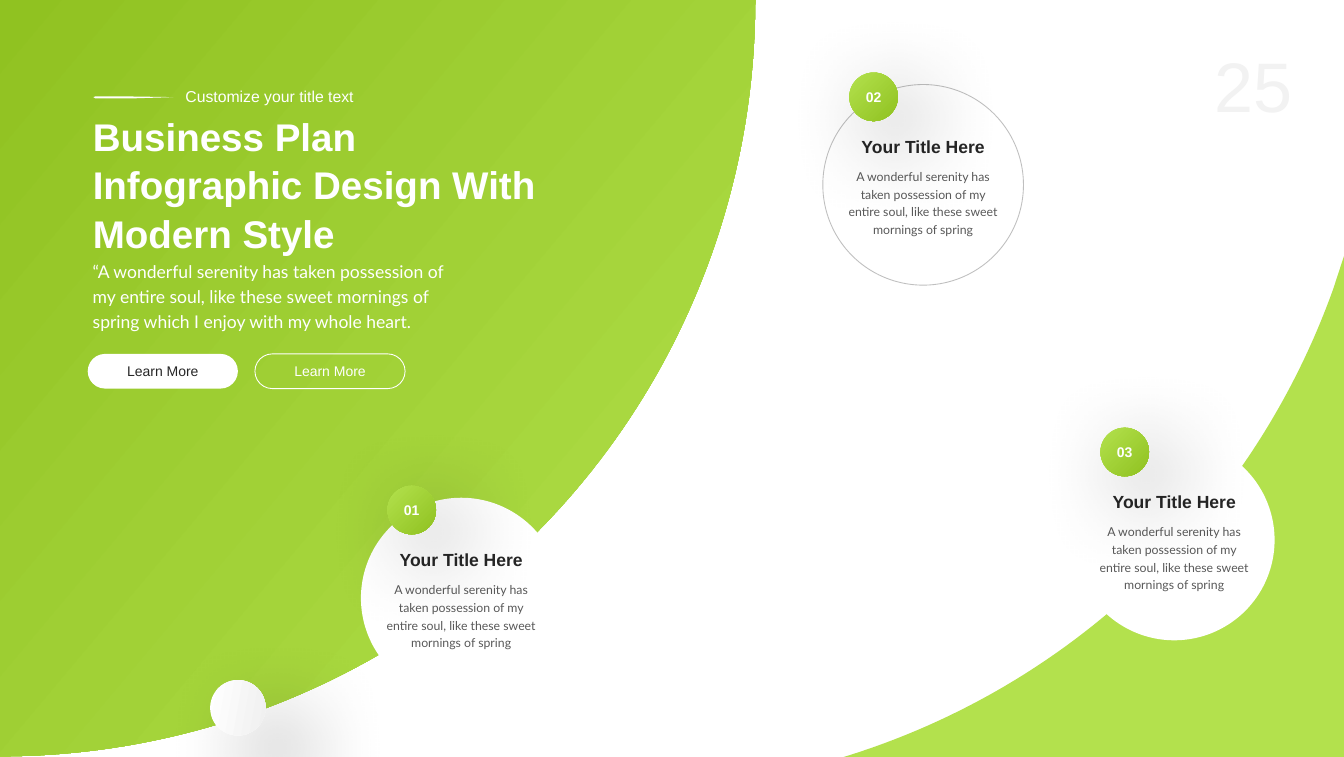
from lxml import etree
from pptx import Presentation
from pptx.dml.color import RGBColor
from pptx.enum import shapes, text
from pptx.oxml.ns import qn
from pptx.util import Inches, Pt

COLORS = {
    "white": "FFFFFF", "light": "B3E14D", "green": "90C221", "ink": "262626",
    "gray": "595959", "outline": "BFBFBF", "pale": "F0F0F0", "number": "F2F2F2",
    "shadow": "000000",
}
LEFT, CENTER = text.PP_ALIGN.LEFT, text.PP_ALIGN.CENTER
OVAL, PILL = shapes.MSO_SHAPE.OVAL, shapes.MSO_SHAPE.ROUNDED_RECTANGLE
SUMMARY = ("A wonderful serenity has taken possession of my entire soul, "
           "like these sweet mornings of spring")


def rgb(name):
    return RGBColor.from_string(COLORS[name])


def curve(p0, p1, p2, p3, steps=48):
    """Points along a cubic Bezier curve, without its start."""
    points = []
    for i in range(1, steps + 1):
        t = i / steps
        weights = ((1 - t) ** 3, 3 * t * (1 - t) ** 2, 3 * t * t * (1 - t), t ** 3)
        points.append(tuple(sum(w * p[axis] for w, p in zip(weights, (p0, p1, p2, p3)))
                            for axis in (0, 1)))
    return points


class SlideBuilder:
    def __init__(self, slide, font="Arial"):
        self.s = slide
        self.font = font

    def paint(self, sp, fill=None, line=None, angle=0):
        """Fill with a colour name or a (start, end) gradient, clockwise angle."""
        sp.shadow.inherit = False
        if isinstance(fill, tuple):
            sp.fill.gradient()
            sp.fill.gradient_angle = (360 - angle) % 360
            for stop, color in zip(sp.fill.gradient_stops, fill):
                stop.color.rgb = rgb(color)
        elif fill:
            sp.fill.solid()
            sp.fill.fore_color.rgb = rgb(fill)
        else:
            sp.fill.background()
        if line:
            sp.line.color.rgb = rgb(line)
            sp.line.width = Pt(1)
        else:
            sp.line.fill.background()

    def set_text(self, sp, words, size, color, bold=False, align=LEFT, font=None,
                 spacing=None, anchor=text.MSO_ANCHOR.TOP):
        tf = sp.text_frame
        tf.text = words
        tf.word_wrap = True
        tf.auto_size = text.MSO_AUTO_SIZE.NONE
        tf.vertical_anchor = anchor
        p = tf.paragraphs[0]
        p.alignment = align
        if spacing:
            p.line_spacing = spacing
        r = p.runs[0]
        r.font.name = font or self.font
        r.font.size = Pt(size)
        r.font.bold = bold
        r.font.color.rgb = rgb(color)

    def title(self, box, words, size, color):
        sp = self.s.shapes.title
        sp.left, sp.top, sp.width, sp.height = map(Inches, box)
        self.set_text(sp, words, size, color, bold=True, spacing=1.05)
        # Bring the title in front of the background panels
        self.s.shapes._spTree.append(sp._element)

    def label(self, box, words, size, color, **style):
        sp = self.s.shapes.add_textbox(*map(Inches, box))
        self.set_text(sp, words, size, color, **style)

    def shape(self, kind, box, fill=None, line=None, angle=0):
        sp = self.s.shapes.add_shape(kind, *map(Inches, box))
        self.paint(sp, fill, line, angle)
        return sp

    def outline(self, points, fill, angle=0):
        points = [(Inches(x), Inches(y)) for x, y in points]
        builder = self.s.shapes.build_freeform(*points[0])
        builder.add_line_segments(points[1:], close=True)
        self.paint(builder.convert_to_shape(), fill, angle=angle)

    def soft_shadow(self, sp, distance):
        effects = sp._element.spPr.find(qn("a:effectLst"))
        shadow = etree.SubElement(effects, qn("a:outerShdw"), blurRad=str(Pt(100)),
                                  dist=str(Pt(distance)), dir=str(45 * 60000),
                                  algn="tl", rotWithShape="0")
        color = etree.SubElement(shadow, qn("a:srgbClr"), val=COLORS["shadow"])
        etree.SubElement(color, qn("a:alpha"), val="40000")

    def button(self, x, words, color, fill=None, line=None):
        sp = self.shape(PILL, (x, 5.61, 2.38, 0.55), fill, line)
        sp.adjustments[0] = 0.5
        self.set_text(sp, words, 16, color, align=CENTER,
                      anchor=text.MSO_ANCHOR.MIDDLE)

    def card(self, x, y, number, fill=None, line=None):
        self.shape(OVAL, (x, y, 3.18, 3.18), fill, line)
        self.label((x, y + 0.76, 3.18, 0.44), "Your Title Here", 20, "ink",
                   bold=True, align=CENTER)
        self.label((x + 0.24, y + 1.25, 2.7, 1.23), SUMMARY, 14, "gray",
                   align=CENTER, font="Lato", spacing=1.2)
        badge = self.shape(OVAL, (x + 0.42, y - 0.19, 0.77, 0.77),
                           ("light", "green"), angle=45)
        self.soft_shadow(badge, 35)
        self.set_text(badge, number, 16, "white", bold=True, align=CENTER,
                      anchor=text.MSO_ANCHOR.MIDDLE)


def main():
    prs = Presentation()
    prs.slide_width, prs.slide_height = Inches(21.3), Inches(12)
    b = SlideBuilder(prs.slides.add_slide(prs.slide_layouts[5]))

    # Background panels
    b.outline([(21.3, 4.06), (21.3, 12.04), (13.24, 12.04), (13.34, 12.01),
               *curve((13.34, 12.01), (15.21, 11.44), (16.93, 10.42), (18.33, 9.01)),
               *curve((18.33, 9.01), (19.59, 7.75), (20.54, 6.23), (21.13, 4.58))],
              "light")
    b.outline([(0, 11.99),
               *curve((0, 11.99), (3.18, 11.99), (6.23, 10.73), (8.47, 8.48)),
               *curve((8.47, 8.48), (10.72, 6.23), (11.97, 3.18), (11.97, 0)),
               (-0.02, -0.01)], ("light", "green"), angle=220)

    # Heading
    b.label((18.87, 0.62, 2, 1.4), "25", 80, "number", align=CENTER)
    b.label((2.84, 1.33, 3.67, 0.4), "Customize your title text", 18, "white")
    b.outline([(1.48, 1.54), (1.51, 1.53), (2.1, 1.53), (2.75, 1.54),
               (2.1, 1.56), (1.51, 1.56)], "white")
    b.title((1.37, 1.7, 7.53, 2.32),
            "Business Plan Infographic Design With Modern Style", 44, "white")
    b.label((1.37, 4.02, 6.11, 1.28),
            "“" + SUMMARY + " which I enjoy with my whole heart.",
            20, "white", font="Lato", spacing=1.2)

    # Buttons
    b.button(1.39, "Learn More", "ink", fill="white")
    b.button(4.04, "Learn More", "white", line="white")

    # Decorative ball
    ball = b.shape(OVAL, (3.33, 10.78, 0.88, 0.88), ("white", "pale"), angle=10)
    b.soft_shadow(ball, 64)

    # Numbered cards
    b.card(13.04, 1.34, "02", line="outline")
    b.card(5.72, 7.89, "01", fill="white")
    b.card(17.02, 6.97, "03", fill="white")

    prs.save("out.pptx")


if __name__ == "__main__":
    main()
